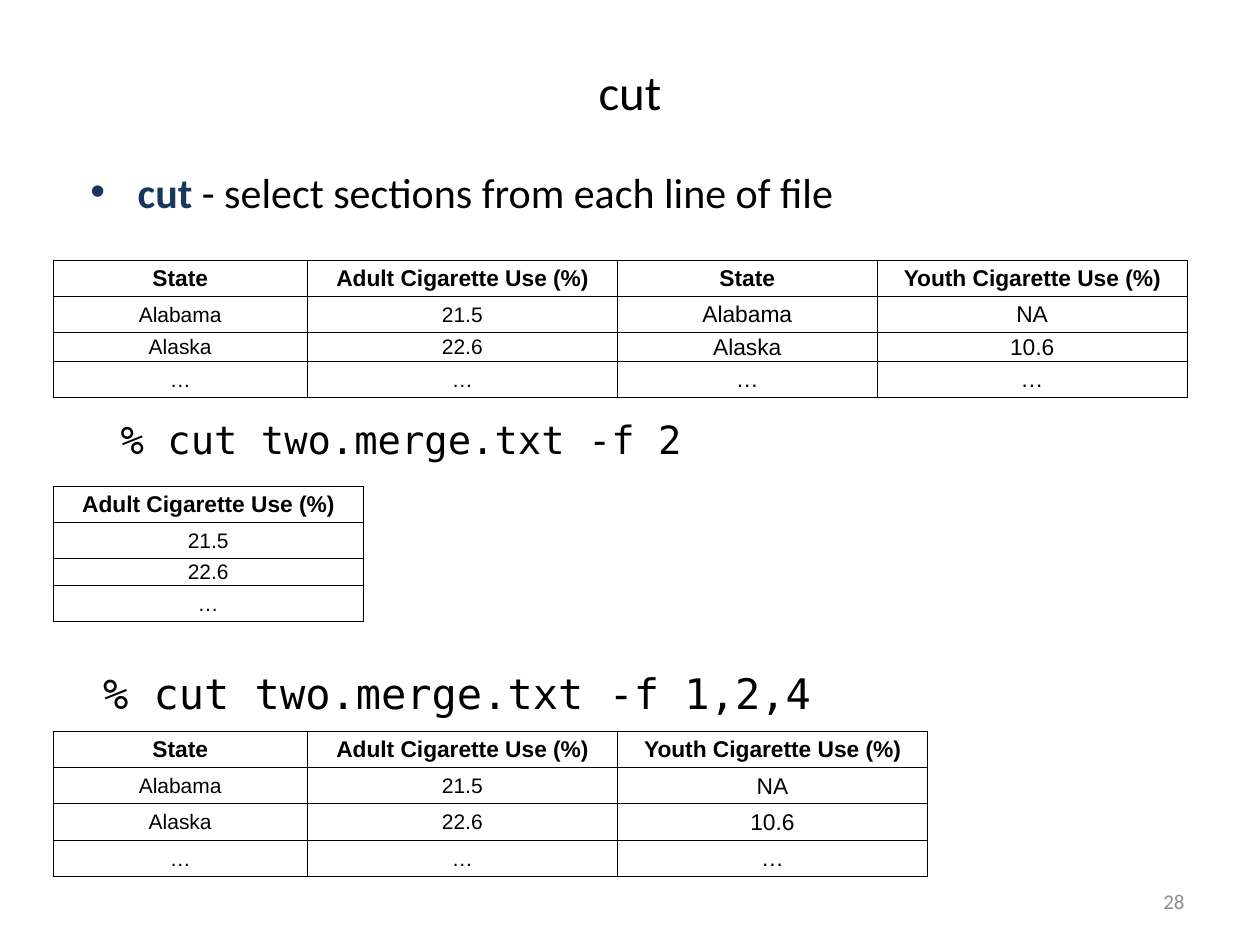
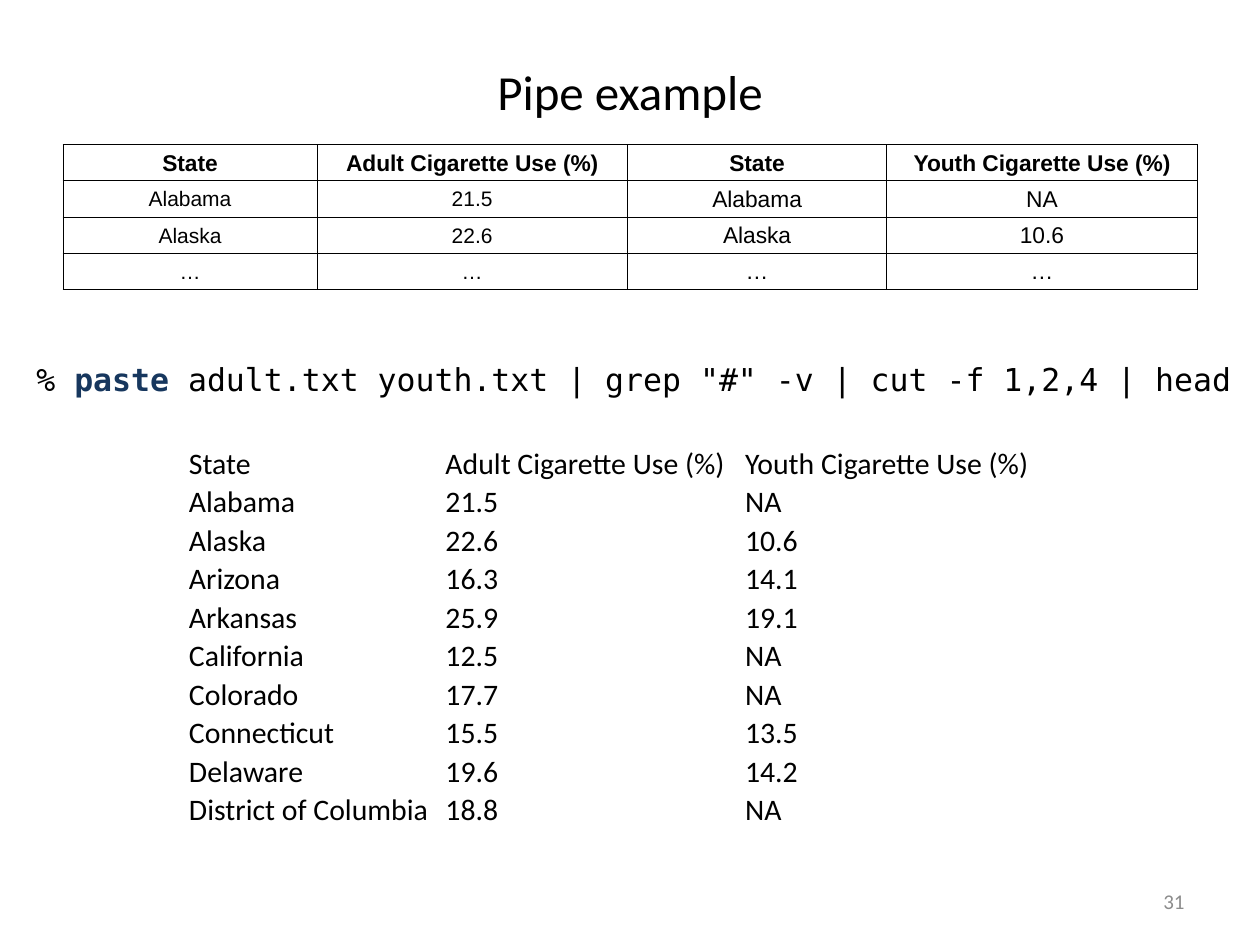
from dataclasses import dataclass, replace

from lxml.etree import SubElement
from pptx import Presentation
from pptx.dml.color import RGBColor
from pptx.enum.text import MSO_ANCHOR as Anchor, PP_ALIGN as Align
from pptx.oxml.ns import qn
from pptx.slide import Slide
from pptx.util import Pt

# Shared look
COLORS = {"text": "000000", "command": "17375E", "number": "8C8C8C", "border": "000000"}
SANS, TABLE_FONT, MONO = "Calibri", "Arial", "DejaVu Sans Mono"
ROW, SHORT_ROW = 20.7, 13
EVEN_ROWS = [ROW] * 4
TIGHT_ROWS = [ROW, ROW, SHORT_ROW, ROW]


@dataclass(frozen=True)
class Box:
    left: float
    top: float
    width: float
    height: float


@dataclass(frozen=True)
class Style:
    size: float
    font: str = SANS
    color: str = "text"
    bold: bool = False
    align: Align = Align.LEFT
    anchor: Anchor = Anchor.TOP
    bullet: bool = False


@dataclass(frozen=True)
class Run:
    text: str
    color: str = "text"
    bold: bool = False


@dataclass(frozen=True)
class Column:
    header: str
    width: float
    values: list[str]
    size: float = 13


TITLE = Style(28, align=Align.CENTER, anchor=Anchor.MIDDLE)
NUMBER = Style(12, color="number", align=Align.RIGHT, anchor=Anchor.MIDDLE)
BULLET = Style(24, bullet=True)
HEADER = Style(13, TABLE_FONT, bold=True, align=Align.CENTER)
LISTING = Style(17)

# Columns of the merged file
STATES = ["Alabama", "Alaska", "…"]
STATE = Column("State", 145.2, STATES, 12)
ADULT = Column("Adult Cigarette Use (%)", 177.2, ["21.5", "22.6", "…"], 12)
YOUTH_STATE = Column("State", 148.4, STATES)
YOUTH = Column("Youth Cigarette Use (%)", 177.2, ["NA", "10.6", "…"])
MERGED = [STATE, ADULT, YOUTH_STATE, YOUTH]

# Output of the pipe
PIPE_COLUMNS = [
    Column("State", 146.6, [
        "Alabama", "Alaska", "Arizona", "Arkansas", "California", "Colorado",
        "Connecticut", "Delaware", "District of Columbia"]),
    Column("Adult Cigarette Use (%)", 171.2, [
        "21.5", "22.6", "16.3", "25.9", "12.5", "17.7", "15.5", "19.6", "18.8"]),
    Column("Youth Cigarette Use (%)", 174, [
        "NA", "10.6", "14.1", "19.1", "NA", "NA", "13.5", "14.2", "NA"]),
]


def format_run(run, style: Style) -> None:
    font = run.font
    font.name, font.size, font.bold = style.font, Pt(style.size), style.bold
    font.color.rgb = RGBColor.from_string(COLORS[style.color])


def add_bullet(paragraph) -> None:
    properties = paragraph._p.get_or_add_pPr()
    properties.set("marL", str(Pt(27)))
    properties.set("indent", str(-Pt(27)))
    SubElement(properties, qn("a:buFont"), typeface="Arial")
    SubElement(properties, qn("a:buChar"), char="•")


def add_text(slide: Slide, box: Box, style: Style, *runs: Run) -> None:
    shape = slide.shapes.add_textbox(
        Pt(box.left), Pt(box.top), Pt(box.width), Pt(box.height))
    text_frame = shape.text_frame
    text_frame.word_wrap = True
    text_frame.vertical_anchor = style.anchor
    paragraph = text_frame.paragraphs[0]
    paragraph.alignment = style.align
    if style.bullet:
        add_bullet(paragraph)
    for part in runs:
        run = paragraph.add_run()
        run.text = part.text
        format_run(run, replace(style, color=part.color, bold=part.bold))


def add_borders(cell) -> None:
    properties = cell._tc.get_or_add_tcPr()
    for side in ("lnL", "lnR", "lnT", "lnB"):
        line = SubElement(properties, qn(f"a:{side}"), w=str(Pt(0.5)))
        fill = SubElement(line, qn("a:solidFill"))
        SubElement(fill, qn("a:srgbClr"), val=COLORS["border"])


def fill_cell(cell, text: str, style: Style, bordered: bool) -> None:
    if bordered:
        add_borders(cell)
    cell.fill.background()
    cell.margin_left = cell.margin_right = cell.margin_top = Pt(0.7)
    cell.margin_bottom = 0
    cell.vertical_anchor = Anchor.MIDDLE
    paragraph = cell.text_frame.paragraphs[0]
    paragraph.text = text
    paragraph.alignment = style.align
    format_run(paragraph.runs[0], style)


def add_data_table(slide: Slide, left: float, top: float, columns: list[Column],
                   heights: list[float], listing: bool = False) -> None:
    width = sum(column.width for column in columns)
    table = slide.shapes.add_table(
        len(heights), len(columns), Pt(left), Pt(top), Pt(width), Pt(sum(heights))).table
    table.first_row = table.horz_banding = False
    for row, height in zip(table.rows, heights):
        row.height = Pt(height)
    for column_index, column in enumerate(columns):
        table.columns[column_index].width = Pt(column.width)
        body = LISTING if listing else replace(HEADER, size=column.size, bold=False)
        header = LISTING if listing else HEADER
        for row_index, text in enumerate([column.header, *column.values]):
            style = body if row_index else header
            fill_cell(table.cell(row_index, column_index), text, style, not listing)


def add_slide(presentation, title: str, number: int) -> Slide:
    slide = presentation.slides.add_slide(presentation.slide_layouts[6])
    add_text(slide, Box(36, 21.6, 648, 61.2), TITLE, Run(title))
    add_text(slide, Box(516, 500.5, 168, 28.8), NUMBER, Run(str(number), "number"))
    return slide


def build_cut(presentation) -> None:
    slide = add_slide(presentation, "cut", 28)
    add_text(slide, Box(44.6, 91.4, 634.3, 46), BULLET,
             Run("cut", "command", True), Run(" - select sections from each line of file"))
    table_left = 30.4
    add_data_table(slide, table_left, 148.6, MERGED, TIGHT_ROWS)

    # Commands, each above its result
    add_text(slide, Box(61.9, 234, 358, 47.5), Style(22.2, MONO),
             Run("% cut two.merge.txt -f 2"))
    add_data_table(slide, table_left, 277.9, [ADULT], TIGHT_ROWS)
    add_text(slide, Box(51.8, 378, 464.4, 49.7), Style(24, MONO),
             Run("% cut two.merge.txt -f 1,2,4"))
    add_data_table(slide, table_left, 417.9, [STATE, ADULT, YOUTH], EVEN_ROWS)


def build_pipe(presentation) -> None:
    slide = add_slide(presentation, "Pipe example", 31)
    add_data_table(slide, 36, 82.6, MERGED, EVEN_ROWS)
    add_text(slide, Box(13.7, 202.3, 701, 35.3), Style(18, MONO),
             Run("% "), Run("paste ", "command", True),
             Run('adult.txt youth.txt | grep "#" -v | cut -f 1,2,4 | head'))
    add_data_table(slide, 107.3, 253.8, PIPE_COLUMNS, [22] * 10, listing=True)


def main() -> None:
    presentation = Presentation()
    presentation.slide_width, presentation.slide_height = Pt(720), Pt(540)
    build_cut(presentation)
    build_pipe(presentation)
    presentation.save("out.pptx")


if __name__ == "__main__":
    main()
